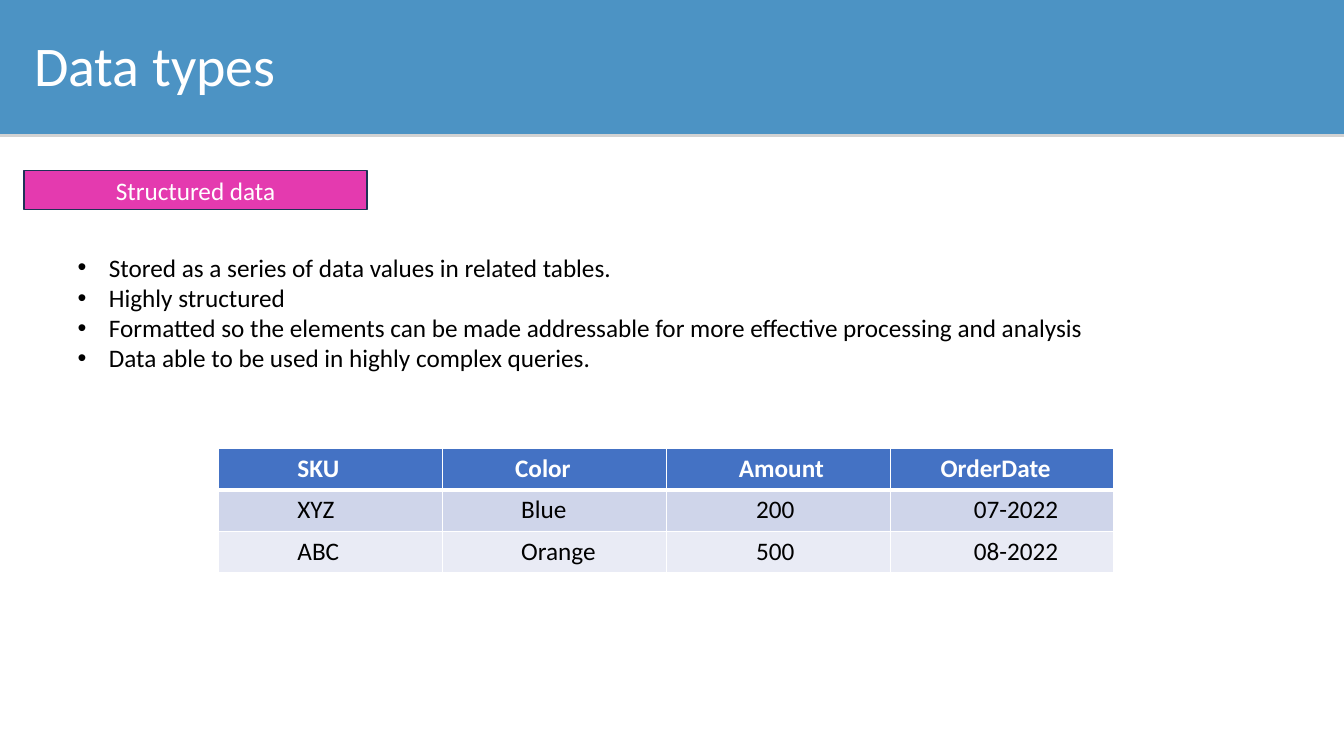
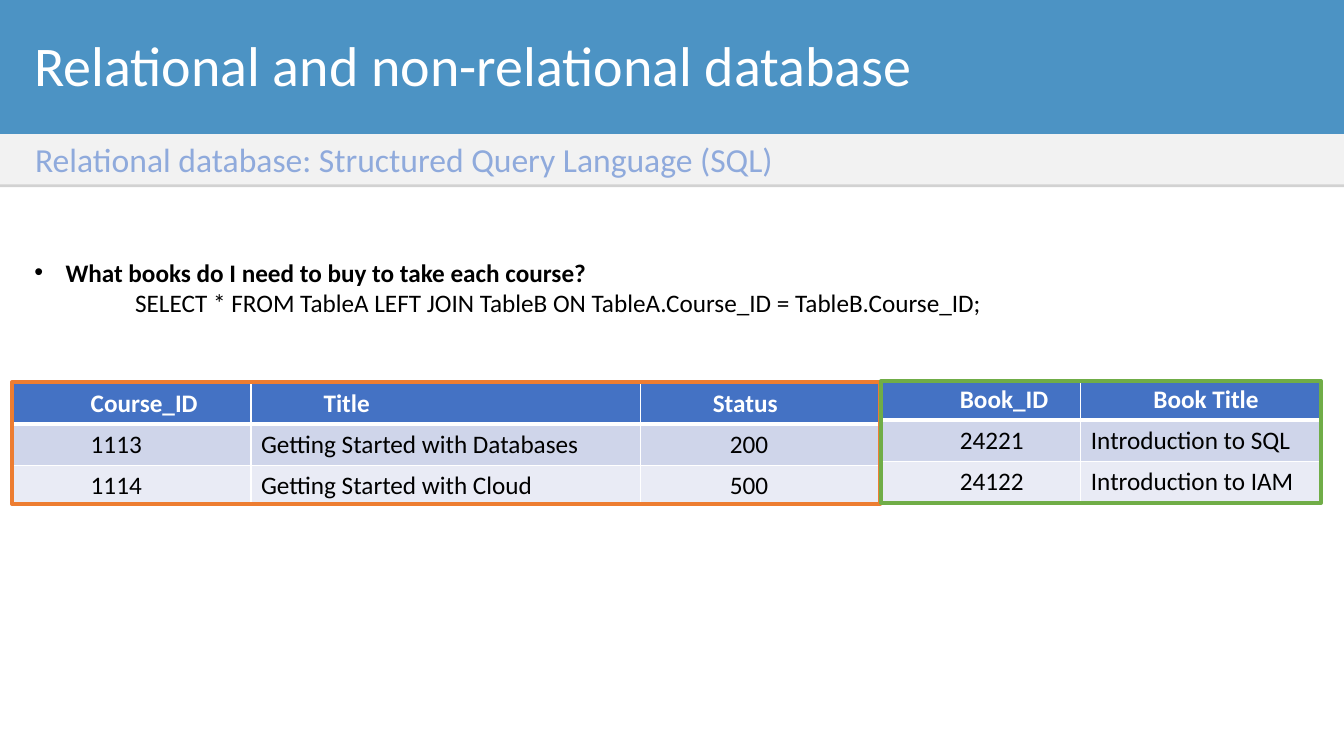
from lxml.etree import SubElement
from pptx import Presentation
from pptx.dml.color import RGBColor
from pptx.enum.shapes import MSO_SHAPE
from pptx.enum.text import MSO_ANCHOR, MSO_AUTO_SIZE, PP_ALIGN
from pptx.oxml.ns import qn
from pptx.util import Pt

SCALE = 9144
WIDE, HIGH = 1333, 750
BAND, STRIP = 133, 50
ROW, PAD, HANG = 41, 10, 31
FONT = "Calibri"
HUES = {
    "band": "4C93C4",
    "strip": "F2F2F2",
    "shade": "808080",
    "white": "FFFFFF",
    "black": "000000",
    "soft": "8FAADC",
    "pink": "E43AAF",
    "navy": "1E3256",
    "head": "4472C4",
    "odd": "CFD5EA",
    "even": "E9EBF5",
    "orange": "ED7D31",
    "green": "70AD47",
}


def px(*sizes):
    return [size * SCALE for size in sizes]


def hue(name):
    return RGBColor.from_string(HUES[name])


def write(frame, text, size=18, color="black", bold=False, align=PP_ALIGN.LEFT,
          bullet=None, left=0):
    para = frame.add_paragraph() if frame.text else frame.paragraphs[0]
    para.alignment = align
    para.line_spacing = 1.0
    para.space_before = para.space_after = Pt(0)
    props = para._p.get_or_add_pPr()
    props.set("marL", str(left * SCALE))
    props.set("indent", str(-left * SCALE if bullet else 0))
    if bullet:
        SubElement(props, qn("a:buFont"), typeface="Arial")
        SubElement(props, qn("a:buChar"), char=bullet)
    else:
        SubElement(props, qn("a:buNone"))
    run = para.add_run()
    run.text = text
    run.font.name = FONT
    run.font.size = Pt(size)
    run.font.bold = bold
    run.font.color.rgb = hue(color)


def place(shape, *box, wrap=True):
    shape.left, shape.top, shape.width, shape.height = px(*box)
    frame = shape.text_frame
    frame.word_wrap = wrap
    frame.auto_size = MSO_AUTO_SIZE.NONE
    frame.vertical_anchor = MSO_ANCHOR.TOP
    return frame


def add_box(slide, *box, fill=None, line=None, weight=1):
    shape = slide.shapes.add_shape(MSO_SHAPE.RECTANGLE, *px(*box))
    shape.shadow.inherit = False
    if fill:
        shape.fill.solid()
        shape.fill.fore_color.rgb = hue(fill)
    else:
        shape.fill.background()
    if line:
        shape.line.color.rgb = hue(line)
        shape.line.width = Pt(weight)
    else:
        shape.line.fill.background()
    return shape


def add_band(slide, top, height, fill):
    band = add_box(slide, 0, top, WIDE, height, fill=fill)
    glow = band._element.spPr.find(qn("a:effectLst"))
    shade = SubElement(glow, qn("a:outerShdw"), blurRad="0", dist=str(Pt(2)),
                       dir="5400000", algn="t", rotWithShape="0")
    tint = SubElement(shade, qn("a:srgbClr"), val=HUES["shade"])
    SubElement(tint, qn("a:alpha"), val="35000")
    slide.shapes.title._element.addprevious(band._element)


def add_slide(deck, title, under=None):
    slide = deck.slides.add_slide(deck.slide_layouts[1])
    add_band(slide, 0, BAND, "band")
    write(place(slide.shapes.title, 24, 25, 1276, 77), title, size=40, color="white")
    if under:
        add_band(slide, BAND, STRIP, "strip")
        label = slide.shapes.add_textbox(0, 0, 0, 0)
        write(place(label, 25, BAND, 1172, STRIP), under, size=24, color="soft")
    return slide


def edge(cell, top, base):
    props = cell._tc.get_or_add_tcPr()
    for side, weight in (("L", 1), ("R", 1), ("T", top), ("B", base)):
        line = SubElement(props, qn("a:ln" + side), w=str(Pt(weight)))
        fill = SubElement(line, qn("a:solidFill"))
        SubElement(fill, qn("a:srgbClr"), val=HUES["white"])


def add_grid(slide, left, top, cols):
    count = len(cols[0][3])
    width = sum(col[0] for col in cols)
    grid = slide.shapes.add_table(count, len(cols), *px(left, top, width, ROW * count)).table
    for row in grid.rows:
        row.height = ROW * SCALE
    for c, (width, first, rest, texts) in enumerate(cols):
        grid.columns[c].width = width * SCALE
        for r, text in enumerate(texts):
            head = r == 0
            cell = grid.cell(r, c)
            cell.margin_left = (first if head else rest) * SCALE
            edge(cell, 3 if r == 1 else 1, 3 if head else 1)
            cell.fill.solid()
            cell.fill.fore_color.rgb = hue("head" if head else "odd" if r % 2 else "even")
            write(cell.text_frame, text, bold=head, color="white" if head else "black")


def show_types(deck):
    slide = add_slide(deck, "Data types")
    tag = add_box(slide, 24, 169, 340, 39, fill="pink", line="navy")
    tag.text_frame.vertical_anchor = MSO_ANCHOR.MIDDLE
    write(tag.text_frame, "Structured data", color="white", align=PP_ALIGN.CENTER)
    body = place(slide.placeholders[1], 67, 245, 1266, 131)
    for text in (
        "Stored as a series of data values in related tables.",
        "Highly structured",
        "Formatted so the elements can be made addressable for more effective processing and analysis",
        "Data able to be used in highly complex queries.",
    ):
        write(body, text, align=PP_ALIGN.JUSTIFY, bullet="•", left=HANG)
    add_grid(slide, 217, 445, [
        (222, 78, 78, ("SKU", "XYZ", "ABC")),
        (222, 72, 78, ("Color", "Blue", "Orange")),
        (222, 72, 89, ("Amount", "200", "500")),
        (222, 50, 83, ("OrderDate", "07-2022", "08-2022")),
    ])


def show_join(deck):
    slide = add_slide(deck, "Relational and non-relational database",
                      "Relational database: Structured Query Language (SQL)")
    body = place(slide.placeholders[1], 24, 250, 984, 131, wrap=False)
    write(body, "What books do I need to buy to take each course?",
          bold=True, bullet="•", left=HANG)
    write(body, "SELECT * FROM TableA LEFT JOIN TableB ON TableA.Course_ID = TableB.Course_ID;",
          left=100)
    add_grid(slide, 12, 380, [
        (237, 78, 78, ("Course_ID", "1113", "1114")),
        (386, 72, PAD, ("Title", "Getting Started with Databases",
                        "Getting Started with Cloud")),
        (238, 72, 89, ("Status", "200", "500")),
    ])
    add_grid(slide, 874, 376, [
        (198, 78, 78, ("Book_ID", "24221", "24122")),
        (238, 72, PAD, ("Book Title", "Introduction to SQL", "Introduction to IAM")),
    ])
    add_box(slide, 12, 379, 861, 121, line="orange", weight=3)
    add_box(slide, 874, 378, 436, 121, line="green", weight=3)


def main():
    deck = Presentation()
    deck.slide_width, deck.slide_height = px(WIDE, HIGH)
    show_types(deck)
    show_join(deck)
    deck.save("out.pptx")


if __name__ == "__main__":
    main()
